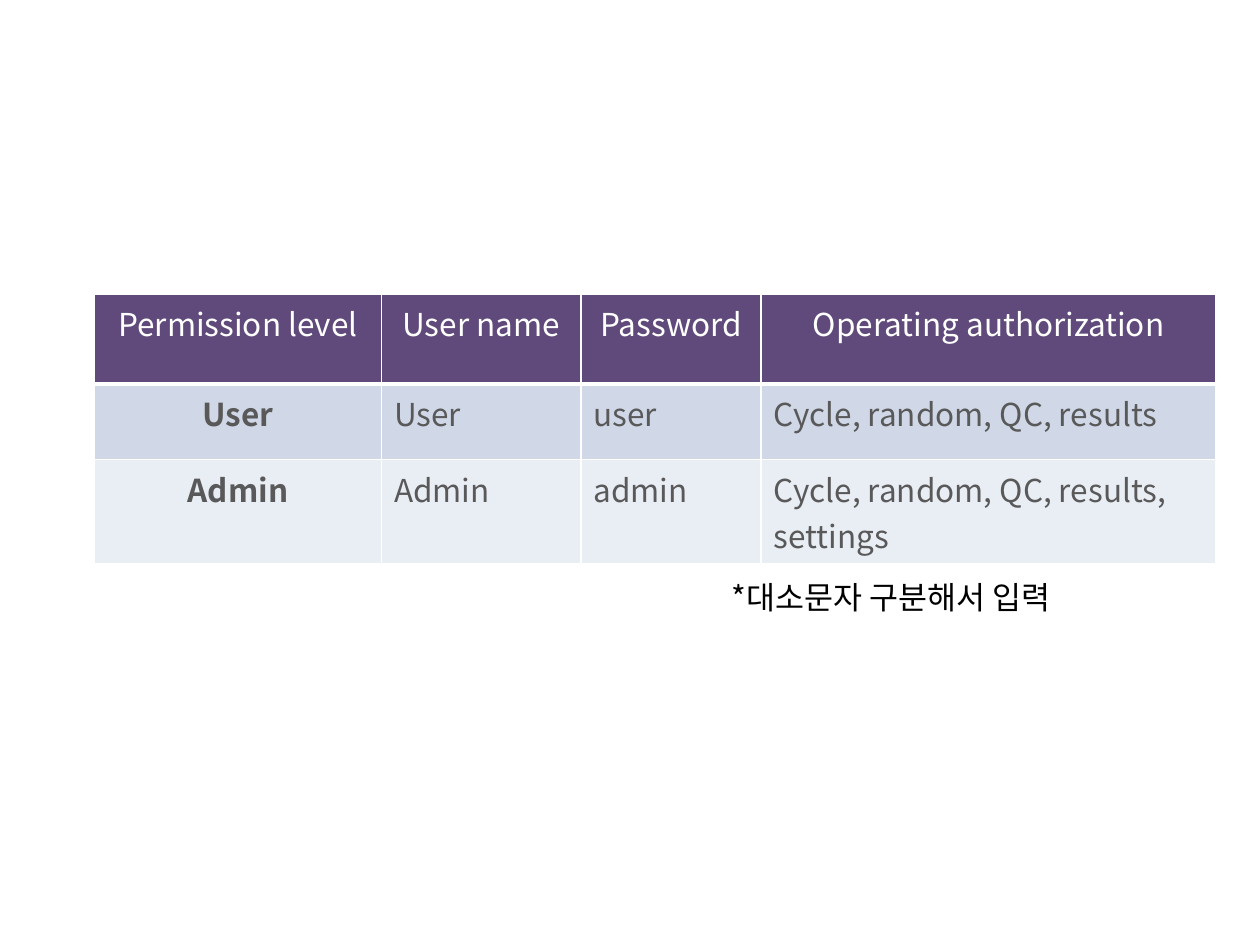
from dataclasses import dataclass

from lxml.etree import SubElement
from pptx import Presentation
from pptx.dml.color import RGBColor
from pptx.enum.text import MSO_AUTO_SIZE, PP_ALIGN
from pptx.oxml.ns import qn
from pptx.slide import Slide
from pptx.table import _Cell
from pptx.text.text import TextFrame
from pptx.util import Pt

WHITE = RGBColor(0xFF, 0xFF, 0xFF)
BLACK = RGBColor(0x00, 0x00, 0x00)
GRAY = RGBColor(0x59, 0x59, 0x59)
PURPLE = RGBColor(0x60, 0x4A, 0x7B)
BLUE = RGBColor(0xD0, 0xD8, 0xE8)
PALE_BLUE = RGBColor(0xE9, 0xED, 0xF4)

TABLE_FONT = "Noto Sans CJK SC"
NOTE_FONT = "Noto Sans CJK KR"
COLUMN_WIDTHS = (164, 114, 103, 260)


@dataclass(frozen=True)
class PermissionRow:
    texts: tuple[str, str, str, str]
    height: float
    fill: RGBColor
    color: RGBColor = GRAY
    is_header: bool = False


ROWS = (
    PermissionRow(("Permission level", "User name", "Password", "Operating authorization"),
                  51.5, PURPLE, WHITE, True),
    PermissionRow(("User", "User", "user", "Cycle, random, QC, results"), 43.2, BLUE),
    PermissionRow(("Admin", "Admin", "admin", "Cycle, random, QC, results, settings"),
                  43.2, PALE_BLUE),
)


def write_text(frame: TextFrame, text: str, *, font: str, color: RGBColor,
               bold: bool = False, align: PP_ALIGN = PP_ALIGN.LEFT) -> None:
    frame.word_wrap = True
    para = frame.paragraphs[0]
    para.alignment = align
    span = para.add_run()
    span.text = text
    span.font.size = Pt(18)
    span.font.name = font
    span.font.bold = bold
    span.font.color.rgb = color
    SubElement(span.font._element, qn("a:ea"), typeface=font)


def set_borders(cell: _Cell, bottom_width: float) -> None:
    """Draw white borders, placed before the fill as the schema requires."""
    properties = cell._tc.get_or_add_tcPr()
    widths = {"a:lnL": 1, "a:lnR": 1, "a:lnT": 1, "a:lnB": bottom_width}
    for index, (tag, width) in enumerate(widths.items()):
        line = SubElement(properties, qn(tag), w=str(Pt(width)))
        fill = SubElement(line, qn("a:solidFill"))
        SubElement(fill, qn("a:srgbClr"), val=str(WHITE))
        properties.insert(index, line)


def add_permission_table(page: Slide) -> None:
    table = page.shapes.add_table(
        len(ROWS), len(COLUMN_WIDTHS), Pt(54), Pt(168), Pt(sum(COLUMN_WIDTHS)),
        Pt(sum(row.height for row in ROWS))).table
    table.first_row = False
    table.horz_banding = False
    for column, width in zip(table.columns, COLUMN_WIDTHS):
        column.width = Pt(width)
    for row_index, row in enumerate(ROWS):
        table.rows[row_index].height = Pt(row.height)
        for column_index, text in enumerate(row.texts):
            cell = table.cell(row_index, column_index)
            is_level = column_index == 0
            centered = row.is_header or is_level
            write_text(cell.text_frame, text, font=TABLE_FONT, color=row.color,
                       bold=is_level and not row.is_header,
                       align=PP_ALIGN.CENTER if centered else PP_ALIGN.LEFT)
            cell.fill.solid()
            cell.fill.fore_color.rgb = row.fill
            set_borders(cell, bottom_width=3 if row.is_header else 1)


def add_note(page: Slide) -> None:
    box = page.shapes.add_textbox(Pt(411), Pt(327), Pt(278), Pt(29))
    write_text(box.text_frame, "*대소문자 구분해서 입력", font=NOTE_FONT, color=BLACK)
    box.text_frame.auto_size = MSO_AUTO_SIZE.SHAPE_TO_FIT_TEXT


def main() -> None:
    deck = Presentation()
    deck.slide_width, deck.slide_height = Pt(720), Pt(540)
    page = deck.slides.add_slide(deck.slide_layouts[6])
    add_permission_table(page)
    add_note(page)
    deck.save("out.pptx")


if __name__ == "__main__":
    main()
